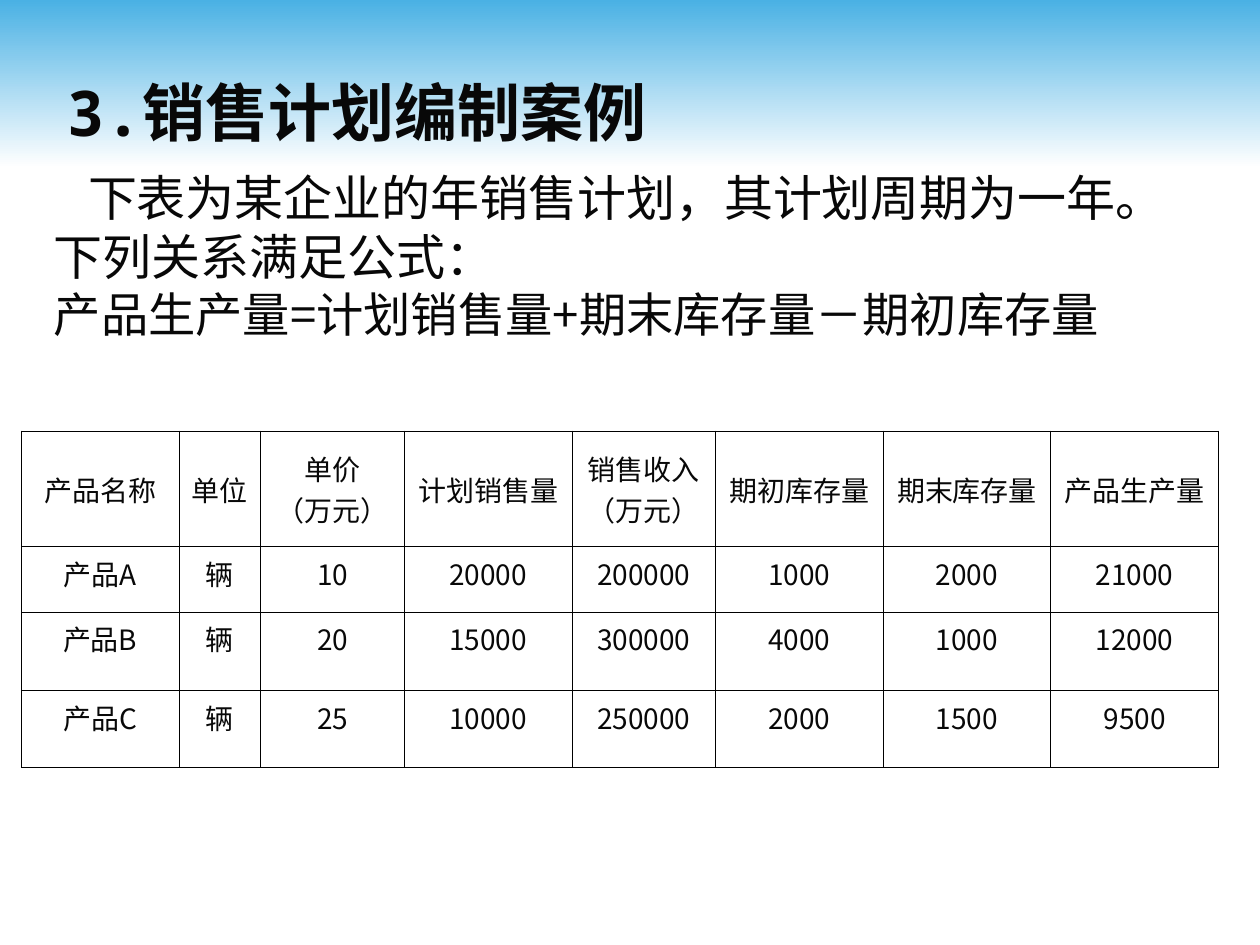
from dataclasses import dataclass

from lxml import etree
from pptx import Presentation
from pptx.dml.color import RGBColor
from pptx.enum.shapes import MSO_SHAPE
from pptx.enum.text import MSO_ANCHOR, PP_ALIGN
from pptx.oxml.ns import qn
from pptx.util import Inches, Pt

RECT = MSO_SHAPE.RECTANGLE
TOP, MIDDLE = MSO_ANCHOR.TOP, MSO_ANCHOR.MIDDLE
LEFT, CENTER = PP_ALIGN.LEFT, PP_ALIGN.CENTER


@dataclass(frozen=True)
class Theme:
    sky: str = "4AB1E4"
    white: str = "FFFFFF"
    ink: str = "080808"
    rule: str = "000000"
    sans: str = "Noto Sans CJK SC"
    mono: str = "Noto Sans Mono"
    title: float = 36
    body: float = 28
    sum: float = 27
    cell: float = 16
    line: float = 0.45


THEME = Theme()
HEAD = ["产品名称", "单位", "单价\n（万元）", "计划销售量",
        "销售收入\n（万元）", "期初库存量", "期末库存量", "产品生产量"]
ROWS = [
    ["产品A", "辆", 10, 20000, 200000, 1000, 2000, 21000],
    ["产品B", "辆", 20, 15000, 300000, 4000, 1000, 12000],
    ["产品C", "辆", 25, 10000, 250000, 2000, 1500, 9500],
]
WIDTHS = [1.25, 0.65, 1.14, 1.33, 1.14, 1.33, 1.33, 1.33]
HEIGHTS = [0.92, 0.52, 0.62, 0.61]


def add_run(para, text, size, face=THEME.sans, bold=False):
    run = para.add_run()
    run.text = text
    font = run.font
    font.size, font.name, font.bold = Pt(size), face, bold
    font.color.rgb = RGBColor.from_string(THEME.ink)
    for tag in ("a:ea", "a:cs"):
        etree.SubElement(run._r.get_or_add_rPr(), qn(tag), typeface=face)


def add_para(frame, first, align=LEFT):
    para = frame.paragraphs[0] if first else frame.add_paragraph()
    para.alignment = align
    return para


def add_frame(slide, box):
    frame = slide.shapes.add_textbox(*map(Inches, box)).text_frame
    frame.word_wrap = True
    frame.vertical_anchor = TOP
    return frame


def add_band(slide, box):
    band = slide.shapes.add_shape(RECT, *map(Inches, box))
    band.shadow.inherit = False
    band.line.fill.background()
    band.fill.gradient()
    band.fill.gradient_angle = 270
    for stop, (place, tone) in zip(band.fill.gradient_stops,
                                   [(0, THEME.sky), (1, THEME.white)]):
        stop.position = place
        stop.color.rgb = RGBColor.from_string(tone)


def add_title(slide, box):
    para = add_para(add_frame(slide, box), True)
    para.line_spacing = 0.9
    add_run(para, "3.", THEME.title, THEME.mono, True)
    add_run(para, "销售计划编制案例", THEME.title, bold=True)


def add_body(slide, box):
    frame = add_frame(slide, box)
    lines = [
        ("下表为某企业的年销售计划，其计划周期为一年。", THEME.body),
        ("下列关系满足公式：", THEME.body),
        ("产品生产量=计划销售量+期末库存量－期初库存量", THEME.sum),
    ]
    for i, (text, size) in enumerate(lines):
        para = add_para(frame, i == 0)
        para.line_spacing = 0.9
        if i:
            para.space_before = Pt(3.5)
        else:
            para._p.get_or_add_pPr().set("indent", str(Inches(0.27)))
        add_run(para, text, size)


def add_rules(cell):
    props = cell._tc.get_or_add_tcPr()
    for i, tag in enumerate(("a:lnL", "a:lnR", "a:lnT", "a:lnB")):
        line = etree.Element(qn(tag), w=str(Pt(THEME.line)))
        fill = etree.SubElement(line, qn("a:solidFill"))
        etree.SubElement(fill, qn("a:srgbClr"), val=THEME.rule)
        props.insert(i, line)


def fill_cell(cell, text, anchor):
    cell.fill.background()
    cell.vertical_anchor = anchor
    add_rules(cell)
    for i, part in enumerate(str(text).split("\n")):
        add_run(add_para(cell.text_frame, i == 0, CENTER), part, THEME.cell)


def add_plan(slide, box):
    data = [HEAD] + ROWS
    grid = slide.shapes.add_table(len(data), len(HEAD), *map(Inches, box)).table
    grid.first_row = grid.horz_banding = False
    for col, width in zip(grid.columns, WIDTHS):
        col.width = Inches(width)
    for row, height in zip(grid.rows, HEIGHTS):
        row.height = Inches(height)
    for r, items in enumerate(data):
        for c, text in enumerate(items):
            fill_cell(grid.cell(r, c), text, TOP if r else MIDDLE)


def main():
    deck = Presentation()
    deck.slide_width, deck.slide_height = Inches(10), Inches(7.5)
    slide = deck.slides.add_slide(deck.slide_layouts[6])
    add_band(slide, (0, 0, 10, 1.33))
    add_title(slide, (0.43, 0.6, 8.65, 0.7))
    add_body(slide, (0.33, 1.33, 9.25, 4.81))
    add_plan(slide, (0.17, 3.42, sum(WIDTHS), sum(HEIGHTS)))
    deck.save("out.pptx")


if __name__ == "__main__":
    main()
